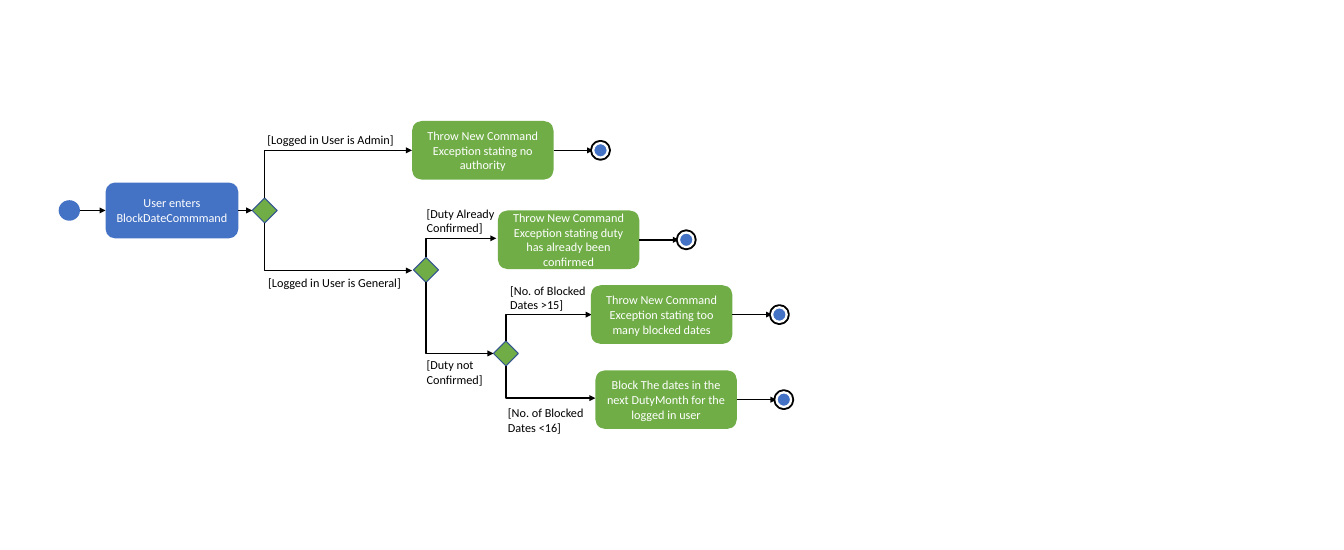
from pptx import Presentation
from pptx.dml.color import RGBColor as Rgb
from pptx.enum.shapes import MSO_CONNECTOR as Link, MSO_SHAPE as Kind
from pptx.enum.text import MSO_ANCHOR as Anchor, PP_ALIGN as Align
from pptx.oxml.ns import qn
from pptx.util import Inches, Pt
from lxml.etree import SubElement as Sub

WIDE, HIGH = 18.33, 7.5
CELL = HIGH / 75  # side of one grid square; all lengths below are in squares
BLUE, GREEN, EDGE = "4472C4", "70AD47", "325491"
BLACK, WHITE = "000000", "FFFFFF"
DOT, GEM = 2, 3.4  # end dot and decision sizes
CARD = (19.3, 8)  # outcome card size


def span(*cells):
    return [Inches(n * CELL) for n in cells]


def paint(fmt, tint):
    fmt.solid()
    fmt.fore_color.rgb = Rgb.from_string(tint)


def write(frame, text, tint, align):
    para = frame.paragraphs[0]
    para.alignment = align
    run = para.add_run()
    run.text = text
    run.font.name = "Calibri"
    run.font.size = Pt(12)
    paint(run.font.fill, tint)


def shape(slide, kind, box, fill, edge=None, width=1, text=None):
    part = slide.shapes.add_shape(kind, *span(*box))
    part.shadow.inherit = False
    paint(part.fill, fill)
    if edge:
        paint(part.line.fill, edge)
        part.line.width = Pt(width)
    else:
        part.line.fill.background()
    if text:
        part.text_frame.word_wrap = True
        part.text_frame.vertical_anchor = Anchor.MIDDLE
        write(part.text_frame, text, WHITE, Align.CENTER)


def arrow(slide, start, tip, bent=False):
    """Arrow to tip; a bent one leaves start upright and turns once."""
    # A bent link is drawn from its tip, so that its first leg is level.
    ends = (*tip, *start) if bent else (*start, *tip)
    link = slide.shapes.add_connector(
        Link.ELBOW if bent else Link.STRAIGHT, *span(*ends))
    paint(link.line.fill, BLACK)
    link.line.width = Pt(1.5)
    props = link._element.spPr
    if bent:
        props.find(qn("a:prstGeom")).set("prst", "bentConnector2")
    Sub(link.line._get_or_add_ln(), qn("a:headEnd" if bent else "a:tailEnd"),
        type="triangle")
    Sub(props, qn("a:effectLst"))


def label(slide, box, text):
    area = slide.shapes.add_textbox(*span(*box))
    area.text_frame.word_wrap = box[3] > 3  # one-line labels stay unwrapped
    write(area.text_frame, text, BLACK, Align.LEFT)


def start(slide, box):
    """Start dot, command card and the arrows after them."""
    x, y, w, h = box
    mid = y + h / 2
    shape(slide, Kind.OVAL, (x, mid - 1.4, 2.9, 2.8), BLUE)
    arrow(slide, (x + 2.9, mid), (x + 6.4, mid))
    shape(slide, Kind.ROUNDED_RECTANGLE, (x + 6.4, y, 18.1, h), BLUE,
          text="User enters BlockDateCommmand")
    arrow(slide, (x + 24.5, mid), (x + w, mid))


def fork(slide, box, arms):
    """Decision with one arm up and one arm down."""
    x, y, w, h = box
    mid = x + w / 2
    shape(slide, Kind.DIAMOND, box, GREEN, EDGE)
    for (dx, dy), (left, top, wide, high), text in arms:
        base = y if dy < 0 else y + h
        hub = y + h / 2
        arrow(slide, (mid, base), (mid + dx, hub + dy), bent=True)
        label(slide, (mid + left, hub + top, wide, high), text)


def result(slide, box, text):
    """Outcome card, its arrow and the end dot."""
    x, y, w, h = box
    mid, end = y + h / 2, x + w + 5.4
    shape(slide, Kind.ROUNDED_RECTANGLE, box, GREEN, text=text)
    arrow(slide, (x + w, mid), (end, mid))
    for edge, width in ((BLACK, 6), (WHITE, 2.25)):
        shape(slide, Kind.OVAL, (end, mid - DOT / 2, DOT, DOT), BLUE,
              edge, width)


# Each decision: place, then arms as (tip, label box, label), from its centre
FORKS = [
    ((34.4, 27), [
        ((20.1, -8.2), (-0.6, -11.2, 19.4, 3), "[Logged in User is Admin]"),
        ((20.1, 8.2), (-0.5, 8.4, 20.3, 3), "[Logged in User is General]")]),
    ((56.4, 35.1), [
        ((9.6, -4.3), (-0.9, -9.2, 11.4, 5), "[Duty Already Confirmed]"),
        ((9.2, 11.4), (-0.9, 11.5, 11.4, 5), "[Duty not Confirmed]")]),
    ((67.3, 46.5), [
        ((11.7, -5.3), (-0.4, -10.1, 13.6, 5), "[No. of Blocked Dates >15]"),
        ((12.2, 6.1), (-0.7, 6.6, 13.6, 5), "[No. of Blocked Dates <16]")]),
]
RESULTS = [
    ((56.2, 16.5), "Throw New Command Exception stating no authority"),
    ((67.9, 28.7), "Throw New Command Exception stating duty has already "
                   "been confirmed"),
    ((80.6, 38.9), "Throw New Command Exception stating too many blocked "
                   "dates"),
    ((81.2, 50.5), "Block The dates in the next DutyMonth for the logged in "
                   "user"),
]

deck = Presentation()
deck.slide_width, deck.slide_height = Inches(WIDE), Inches(HIGH)
page = deck.slides.add_slide(deck.slide_layouts[6])

start(page, (8, 24.9, 26.4, 7.6))
for spot, arms in FORKS:
    fork(page, (*spot, GEM, GEM), arms)
for spot, text in RESULTS:
    result(page, (*spot, *CARD), text)

deck.save("out.pptx")
